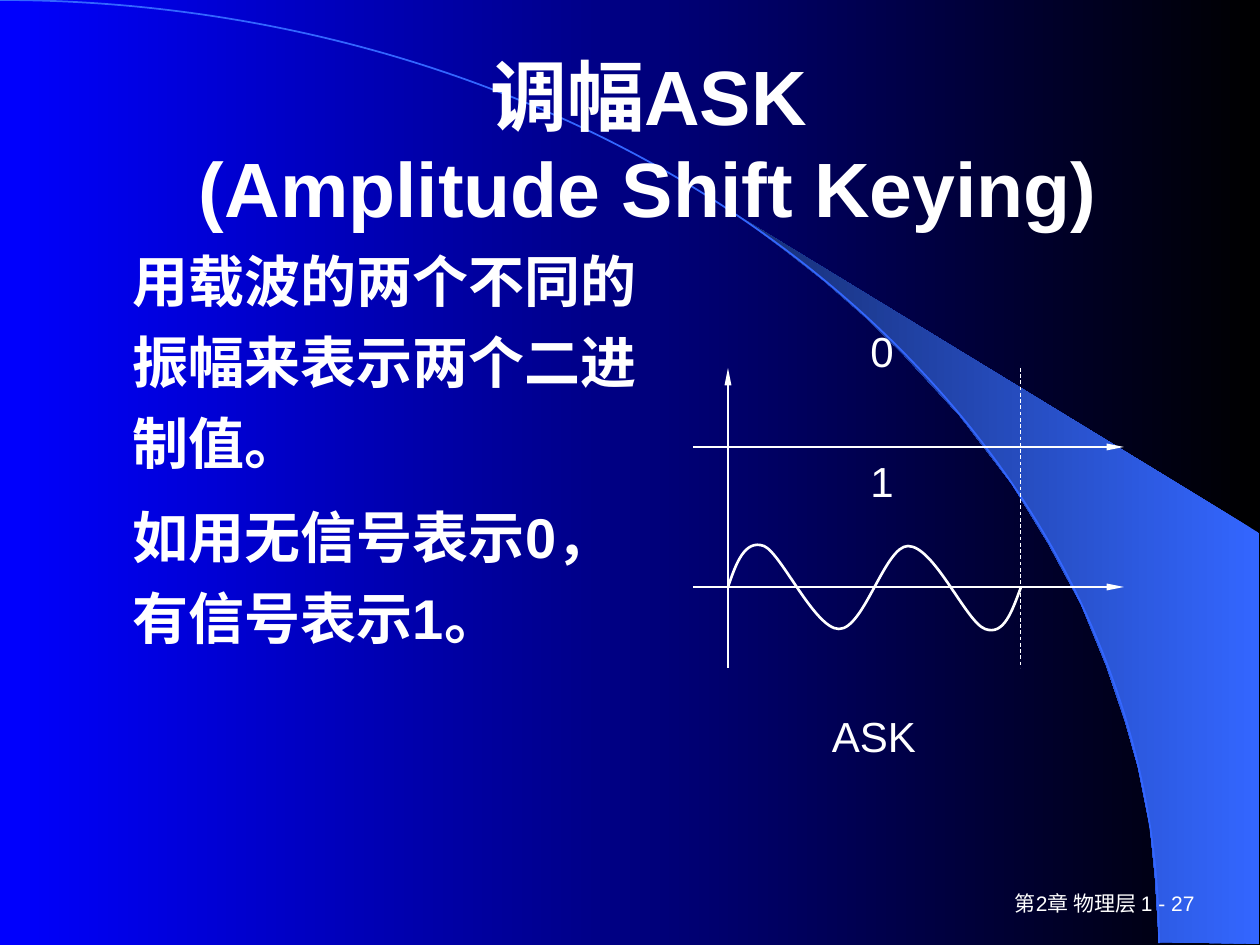
"""Build the slide on amplitude shift keying."""
from dataclasses import dataclass
from typing import Optional

from lxml import etree
from pptx import Presentation
from pptx.dml.color import RGBColor
from pptx.enum.dml import MSO_LINE
from pptx.enum.shapes import MSO_CONNECTOR, MSO_SHAPE
from pptx.enum.text import MSO_ANCHOR, MSO_AUTO_SIZE, PP_ALIGN
from pptx.oxml.ns import qn
from pptx.util import Emu, Pt

WHITE = RGBColor(0xFF, 0xFF, 0xFF)
BLACK = RGBColor(0, 0, 0)
BLUE = RGBColor(0, 0, 0xFF)
SKY = RGBColor(0x33, 0x66, 0xFF)
NAVY = RGBColor(0x17, 0x2F, 0x75)
LEFT, CENTER, RIGHT = PP_ALIGN.LEFT, PP_ALIGN.CENTER, PP_ALIGN.RIGHT
TOP, MIDDLE = MSO_ANCHOR.TOP, MSO_ANCHOR.MIDDLE
NO_FIT = MSO_AUTO_SIZE.NONE
STRAIGHT = MSO_CONNECTOR.STRAIGHT
ARC = MSO_SHAPE.ARC
DASH = MSO_LINE.DASH
FONT = "Arial"
SCALE = 914400 / 126

Point = tuple[int, int]
Box = tuple[int, int, int, int]


@dataclass
class Label:
    text: str
    box: Box
    size: int
    align: PP_ALIGN = CENTER
    anchor: MSO_ANCHOR = TOP
    bold: bool = False
    lines: float = 1.0
    before: int = 0


@dataclass
class Rule:
    start: Point
    end: Point
    arrow: Optional[str] = None
    width: float = 0.75
    dash: Optional[MSO_LINE] = None


TITLE = Label("调幅ASK\v(Amplitude Shift Keying)", (113, 41, 1071, 199), 44,
              anchor=MIDDLE, bold=True)
BODY = Label("用载波的两个不同的振幅来表示两个二进制值。\n如用无信号表示0，有信号表示1。",
             (120, 227, 538, 551), 32, LEFT, bold=True, lines=1.2, before=8)
LABELS = [
    Label("第2章 物理层 1 - 27", (945, 882, 262, 42), 12, RIGHT, MIDDLE),
    Label("0\n1", (814, 304, 136, 249), 24, lines=1.3),
    Label("ASK", (762, 704, 224, 66), 24),
]
RULES = [
    Rule((728, 368), (728, 668), "a:headEnd"),
    Rule((693, 447), (1124, 447), "a:tailEnd"),
    Rule((693, 587), (1124, 587), "a:tailEnd"),
    Rule((1020, 368), (1020, 668), width=0.5, dash=DASH),
]
ARC_BOX = (-1159, 0, 2318, 1886)
WEDGE = [
    (1159, 942), (1259, 944), (1259, 533), (742, 218), (786, 251), (823, 280),
    (863, 315), (902, 353), (960, 416), (1012, 484), (1048, 543), (1081, 604),
    (1106, 665), (1125, 721), (1138, 767), (1150, 827), (1155, 877),
]
WAVE = [
    (728, 587), (736, 563), (745, 539), (764, 546), (781, 553), (815, 629),
    (839, 629), (864, 629), (885, 546), (908, 546), (934, 546), (966, 622),
    (985, 629), (1004, 636), (1012, 611), (1021, 587),
]


def px(length: int) -> Emu:
    """Turn px into EMU."""
    return Emu(round(length * SCALE))


def shade(fill, start: RGBColor, end: RGBColor) -> None:
    """Fill with a gradient that runs from right to left."""
    fill.gradient()
    fill.gradient_angle = 180
    for stop, color in zip(fill.gradient_stops, (start, end)):
        stop.color.rgb = color


def outline(slide, points: list[Point], close: bool):
    """Draw a freeform through the points."""
    spots = [(px(x), px(y)) for x, y in points]
    pen = slide.shapes.build_freeform(*spots[0])
    pen.add_line_segments(spots[1:], close=close)
    return pen.convert_to_shape()


def draw_wedge(slide) -> None:
    """Draw the shaded wedge at the right."""
    shape = outline(slide, WEDGE, True)
    shape.shadow.inherit = False
    shade(shape.fill, SKY, NAVY)
    shape.line.fill.background()


def stroke(shape, color: RGBColor, width: float) -> None:
    """Leave only the line of a shape."""
    shape.shadow.inherit = False
    shape.fill.background()
    shape.line.color.rgb = color
    shape.line.width = Pt(width)


def draw_wave(slide) -> None:
    """Draw the carrier, turning each three segments into a cubic curve."""
    shape = outline(slide, WAVE, False)
    stroke(shape, WHITE, 1.5)
    lines = list(shape.element.iter(qn("a:lnTo")))
    track = lines[0].getparent()
    for first in range(0, len(lines), 3):
        curve = etree.SubElement(track, qn("a:cubicBezTo"))
        for line in lines[first:first + 3]:
            curve.append(line[0])
            track.remove(line)


def draw_rule(slide, rule: Rule) -> None:
    """Draw a straight line, with its arrowhead or dashes."""
    ends = [px(side) for side in rule.start + rule.end]
    shape = slide.shapes.add_connector(STRAIGHT, *ends)
    line = shape.line
    line.color.rgb = WHITE
    line.width = Pt(rule.width)
    if rule.dash:
        line.dash_style = rule.dash
    props = shape.element.spPr
    if rule.arrow:
        etree.SubElement(props.find(qn("a:ln")), qn(rule.arrow),
                         type="triangle", w="sm", len="lg")
    etree.SubElement(props, qn("a:effectLst"))


def write(shape, label: Label) -> None:
    """Place a text shape, then set and format its text."""
    shape.left, shape.top, shape.width, shape.height = map(px, label.box)
    frame = shape.text_frame
    frame.word_wrap = True
    frame.auto_size = NO_FIT
    frame.vertical_anchor = label.anchor
    frame.text = label.text
    for para in frame.paragraphs:
        para.alignment = label.align
        para.line_spacing = label.lines
        para.space_before = Pt(label.before)
        for run in para.runs:
            font = run.font
            font.name = FONT
            font.size = Pt(label.size)
            font.bold = label.bold
            font.color.rgb = WHITE


def main() -> None:
    """Build and save the slide."""
    deck = Presentation()
    deck.slide_width, deck.slide_height = px(1260), px(945)
    slide = deck.slides.add_slide(deck.slide_layouts[1])
    shade(slide.background.fill, BLACK, BLUE)
    draw_wedge(slide)
    stroke(slide.shapes.add_shape(ARC, *map(px, ARC_BOX)), SKY, 1)

    title, body = slide.placeholders
    for holder, label in ((title, TITLE), (body, BODY)):
        slide.shapes.element.append(holder.element)
        write(holder, label)
    for para in body.text_frame.paragraphs:
        props = para._p.get_or_add_pPr()
        props.set("marL", "0")
        props.set("indent", "0")
        etree.SubElement(props, qn("a:buNone"))

    for rule in RULES:
        draw_rule(slide, rule)
    draw_wave(slide)
    for label in LABELS:
        box = slide.shapes.add_textbox(*map(px, label.box))
        write(box, label)
        for para in box.text_frame.paragraphs[1:]:
            para.space_before = Pt(37)
    deck.save("out.pptx")


if __name__ == "__main__":
    main()
